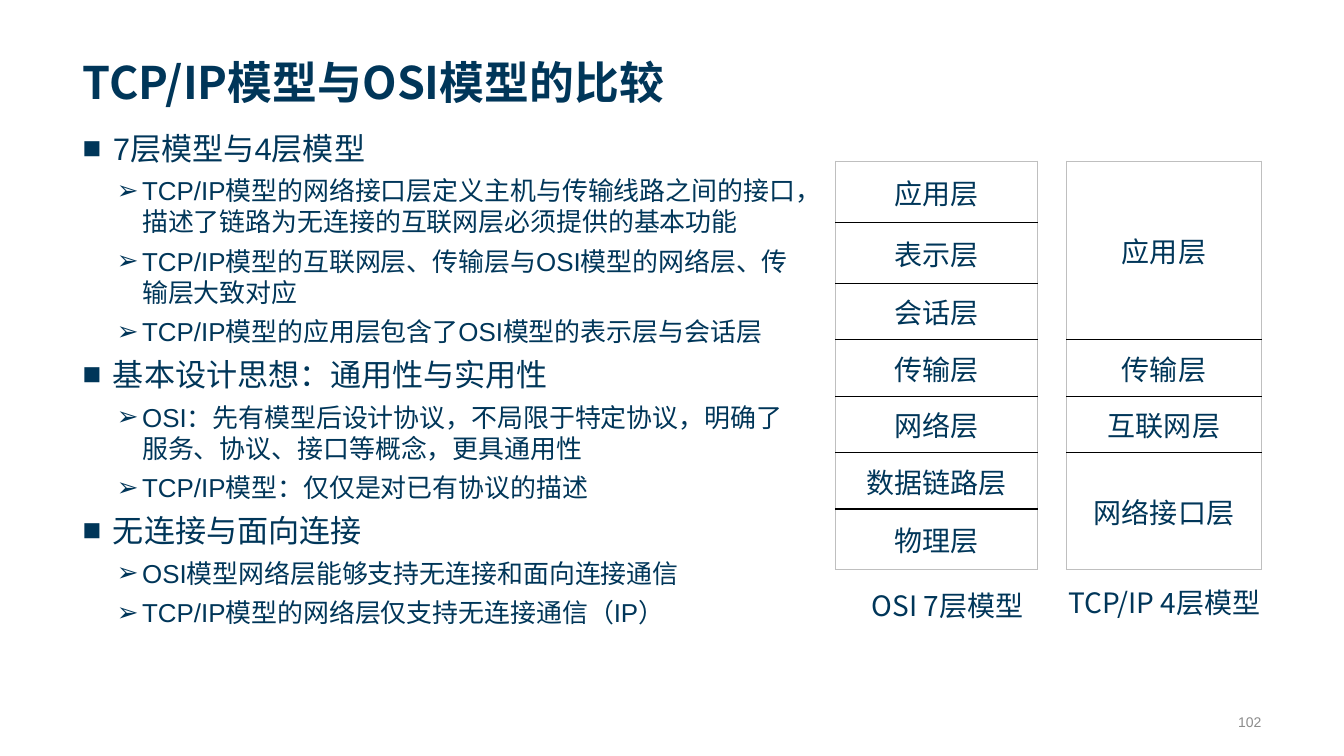
from dataclasses import dataclass

from lxml import etree
from pptx import Presentation
from pptx import util as u
from pptx.dml.color import RGBColor
from pptx.enum import text
from pptx.oxml import ns

EMU_PER_PX = 9144
NAVY = RGBColor(0x00, 0x36, 0x59)
GREY = RGBColor(0x8C, 0x8C, 0x8C)
INNER_RULE = RGBColor(0x00, 0x00, 0x00)
OUTER_RULE = RGBColor(0xBF, 0xBF, 0xBF)
SANS = "Noto Sans CJK SC"
ARIAL = "Arial"


@dataclass(frozen=True)
class Level:
    bullet: str
    left: int
    hang: int
    size: float


@dataclass(frozen=True)
class Stack:
    left: int
    top: int
    width: int
    layers: list[tuple[str, int]]


@dataclass(frozen=True)
class Label:
    words: str
    left: int
    top: int
    width: int
    height: int


LEVELS = [Level("■", 30, 30, 22.2), Level("➢", 59, 25, 18.5)]

POINTS = [
    (0, "7层模型与4层模型"),
    (1, "TCP/IP模型的网络接口层定义主机与传输线路之间的接口，描述了链路为无连接的互联网层必须提供的基本功能"),
    (1, "TCP/IP模型的互联网层、传输层与OSI模型的网络层、传输层大致对应"),
    (1, "TCP/IP模型的应用层包含了OSI模型的表示层与会话层"),
    (0, "基本设计思想：通用性与实用性"),
    (1, "OSI：先有模型后设计协议，不局限于特定协议，明确了服务、协议、接口等概念，更具通用性"),
    (1, "TCP/IP模型：仅仅是对已有协议的描述"),
    (0, "无连接与面向连接"),
    (1, "OSI模型网络层能够支持无连接和面向连接通信"),
    (1, "TCP/IP模型的网络层仅支持无连接通信（IP）"),
]

STACKS = [
    Stack(829, 160, 200, [("应用层", 61), ("表示层", 60), ("会话层", 56), ("传输层", 56),
                          ("网络层", 56), ("数据链路层", 56), ("物理层", 60)]),
    Stack(1058, 160, 193, [("应用层", 177), ("传输层", 56), ("互联网层", 56), ("网络接口层", 116)]),
]

CAPTIONS = [
    Label("OSI 7层模型", 822, 579, 236, 50),
    Label("TCP/IP 4层模型", 1037, 576, 236, 50),
]
PAGE_NUMBER = Label("102", 1173, 701, 88, 30)


def px(length: int) -> u.Emu:
    return u.Emu(length * EMU_PER_PX)


def write(para, words: str, *, size: float = 20, font: str = SANS, color: RGBColor = NAVY,
          bold: bool = False, align=text.PP_ALIGN.LEFT, spacing: float = 1.0) -> None:
    para.alignment = align
    para.line_spacing = spacing
    span = para.add_run()
    span.text = words
    span.font.size = u.Pt(size)
    span.font.name = font
    span.font.bold = bold
    span.font.color.rgb = color
    east_asian = etree.SubElement(span.font._element, ns.qn("a:ea"))
    east_asian.set("typeface", SANS)


def place(shape, left: int, top: int, width: int, height: int) -> None:
    shape.left, shape.top = px(left), px(top)
    shape.width, shape.height = px(width), px(height)
    shape.text_frame.word_wrap = True
    shape.text_frame.auto_size = text.MSO_AUTO_SIZE.NONE


def add_bullet(para, level: Level) -> None:
    properties = para._p.get_or_add_pPr()
    properties.set("marL", str(px(level.left)))
    properties.set("indent", str(-px(level.hang)))
    etree.SubElement(properties, ns.qn("a:buFont")).set("typeface", ARIAL)
    etree.SubElement(properties, ns.qn("a:buChar")).set("char", level.bullet)


def fill_body(body) -> None:
    place(body, 72, 123, 735, 548)
    frame = body.text_frame
    frame.vertical_anchor = text.MSO_ANCHOR.TOP
    for index, (depth, words) in enumerate(POINTS):
        para = frame.add_paragraph() if index else frame.paragraphs[0]
        para.level = depth
        add_bullet(para, LEVELS[depth])
        para.space_before = u.Pt(6 if index else 0)
        write(para, words, size=LEVELS[depth].size, font=ARIAL)


def add_border(cell, side: str, color: RGBColor) -> None:
    line = etree.SubElement(cell._tc.get_or_add_tcPr(), ns.qn(f"a:ln{side}"), w=str(u.Pt(1)))
    fill = etree.SubElement(line, ns.qn("a:solidFill"))
    etree.SubElement(fill, ns.qn("a:srgbClr"), val=str(color))


def add_stack(page, stack: Stack) -> None:
    count = len(stack.layers)
    total = sum(height for _, height in stack.layers)
    table = page.shapes.add_table(count, 1, px(stack.left), px(stack.top),
                                  px(stack.width), px(total)).table
    table.first_row = table.horz_banding = False
    table.columns[0].width = px(stack.width)
    for index, (words, height) in enumerate(stack.layers):
        table.rows[index].height = px(height)
        cell = table.cell(index, 0)
        add_border(cell, "L", OUTER_RULE)
        add_border(cell, "R", OUTER_RULE)
        add_border(cell, "T", INNER_RULE if index else OUTER_RULE)
        add_border(cell, "B", INNER_RULE if index < count - 1 else OUTER_RULE)
        cell.fill.background()
        cell.vertical_anchor = text.MSO_ANCHOR.MIDDLE
        write(cell.text_frame.paragraphs[0], words, align=text.PP_ALIGN.CENTER)


def add_label(page, label: Label, anchor=text.MSO_ANCHOR.TOP, **style) -> None:
    bounds = (label.left, label.top, label.width, label.height)
    box = page.shapes.add_textbox(*map(px, bounds))
    place(box, *bounds)
    box.text_frame.vertical_anchor = anchor
    write(box.text_frame.paragraphs[0], label.words, **style)


def main() -> None:
    deck = Presentation()
    deck.slide_width, deck.slide_height = px(1333), px(750)
    page = deck.slides.add_slide(deck.slide_layouts[1])

    title = page.shapes.title
    place(title, 72, 15, 1188, 98)
    title.text_frame.vertical_anchor = text.MSO_ANCHOR.BOTTOM
    write(title.text_frame.paragraphs[0], "TCP/IP模型与OSI模型的比较", size=32, bold=True, spacing=0.9)

    fill_body(page.placeholders[1])
    for stack in STACKS:
        add_stack(page, stack)
    for caption in CAPTIONS:
        add_label(page, caption, align=text.PP_ALIGN.CENTER)
    add_label(page, PAGE_NUMBER, anchor=text.MSO_ANCHOR.MIDDLE, size=10, font=ARIAL,
              color=GREY, align=text.PP_ALIGN.RIGHT)
    deck.save("out.pptx")


if __name__ == "__main__":
    main()
